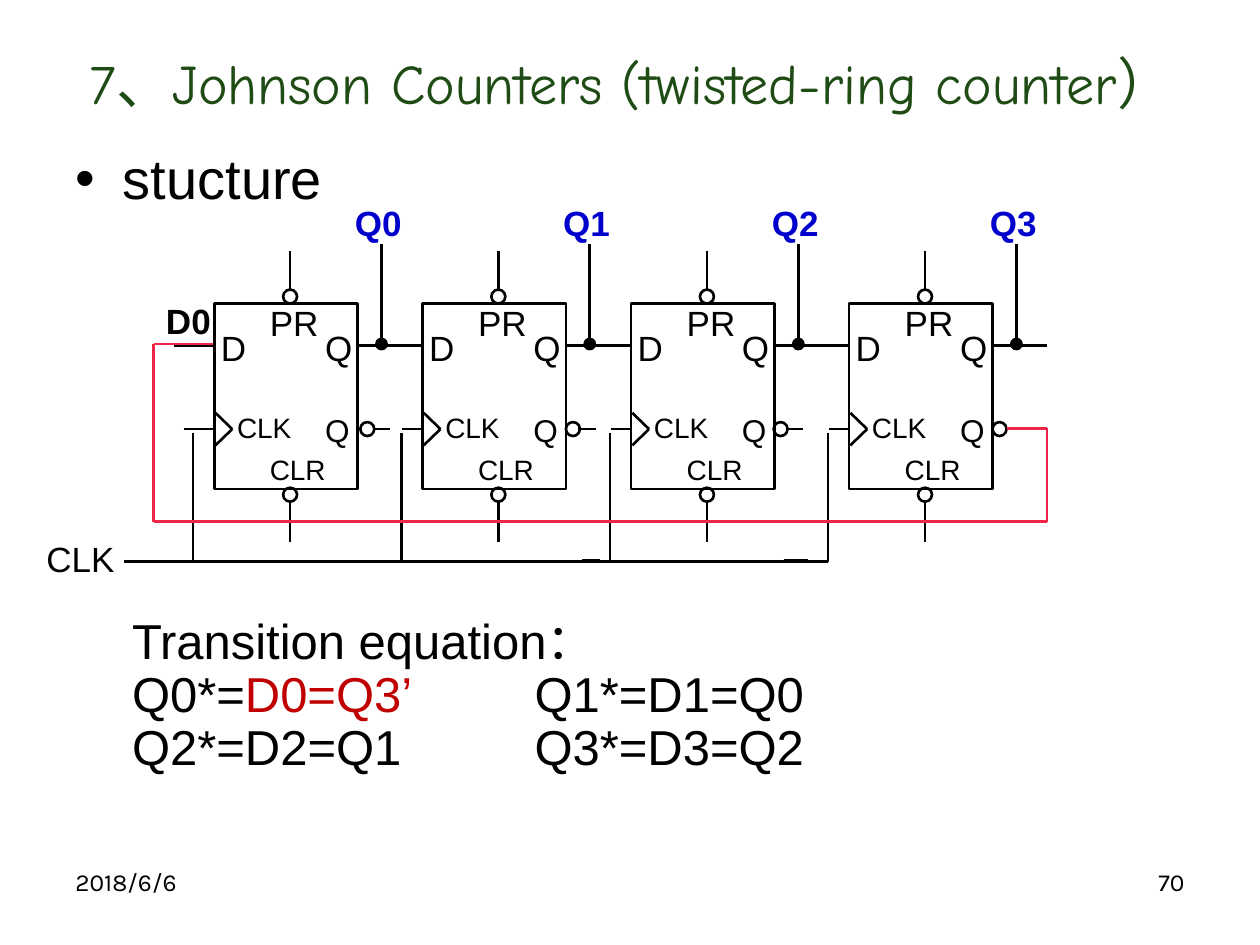
from itertools import pairwise

from lxml.etree import SubElement
from pptx import Presentation
from pptx.dml.color import RGBColor
from pptx.enum.shapes import MSO_CONNECTOR as Wire, MSO_SHAPE as Shape
from pptx.enum.text import MSO_ANCHOR as Anchor, MSO_AUTO_SIZE as Fit, PP_ALIGN as Align
from pptx.oxml.ns import qn
from pptx.util import Pt

# Content
TITLE = "7、Johnson Counters (twisted-ring counter）"
BULLET = "stucture"
DATE, NUMBER = "2018/6/6", "70"
EQUATIONS = [
    [("Transition equation：", "black")],
    [("Q0*=", "black"), ("D0=Q3’", "red"), ("\tQ1*=D1=Q0", "black")],
    [("Q2*=D2=Q1", "black"), ("\tQ3*=D3=Q2", "black")],
]
# Output name, left edge, clock stub length, offset of the inverted-output bubble
STAGES = [
    ("Q0", 122.4, 17.3, 83.5),
    ("Q1", 241.4, 11.5, 82),
    ("Q2", 360.6, 11.5, 81.5),
    ("Q3", 485.2, 11.5, 82),
]
# Pin labels of one flip-flop: text, offset from left edge, top, width, size
PINS = [
    ("D", -3.3, 182.9, 23, "label"),
    ("CLK", 6, 231.1, 48.2, "small"),
    ("Q", 56.3, 182.9, 23, "label"),
    ("Q", 56.3, 231.1, 23, "inverted"),
    ("CLR", 24.7, 254.9, 48.2, "small"),
    ("PR", 24.7, 168.5, 43.2, "label"),
]

THEME = {
    "colours": {"black": "000000", "green": "1F4B15", "blue": "0000CC",
                "red": "C00000", "feedback": "EF2547"},
    "sizes": {"title": 32, "bullet": 32, "equation": 28, "label": 20,
              "inverted": 18, "small": 16, "footer": 14},
    "fonts": {"body": "Arial", "title": "Comic Neue", "footer": "Karla"},
    "line": 1.5,
}

# Levels and flip-flop measures
TOP, WIDTH, HEIGHT = 173.5, 82, 106
DATA_Y, CLOCK_Y, BUS_Y = 197.3, 245.2, 321
TAP_TOP, PRESET_TOP, CLEAR_END = 139.7, 143.3, 309.6
BUBBLE, DOT, MIDDLE, TAP = 8, 5.8, 43.4, 95.6
BUS_LEFT, CLOCK_TAP = 70.6, 12
FEEDBACK = [(575.4, 244.8), (598.3, 244.8), (598.3, 298.1),
            (87.8, 298.1), (87.8, 196.6), (121.7, 196.6)]
BUS_STUBS = [(332.6, 342.7), (447.8, 461.5)]

deck = Presentation()
deck.slide_width, deck.slide_height = Pt(720), Pt(540)
page = deck.slides.add_slide(deck.slide_layouts[1])


def colour(name):
    return RGBColor.from_string(THEME["colours"][name])


def add_span(para, text, size, tint="black", font="body", bold=False):
    span = para.add_run()
    span.text = text
    look = {"size": Pt(THEME["sizes"][size]), "name": THEME["fonts"][font], "bold": bold}
    for key, value in look.items():
        setattr(span.font, key, value)
    span.font.color.rgb = colour(tint)


def place(box, left, top, width, height):
    frame = {"left": left, "top": top, "width": width, "height": height}
    for key, value in frame.items():
        setattr(box, key, Pt(value))
    box.text_frame.word_wrap = True
    box.text_frame.auto_size = Fit.NONE
    return box.text_frame


def add_label(text, left, top, width, height=31, size="label", align=Align.LEFT, **look):
    box = page.shapes.add_textbox(0, 0, 0, 0)
    para = place(box, left, top, width, height).paragraphs[0]
    para.alignment = align
    add_span(para, text, size, **look)


def add_wire(x1, y1, x2, y2, tint="black"):
    wire = page.shapes.add_connector(Wire.STRAIGHT, Pt(x1), Pt(y1), Pt(x2), Pt(y2))
    wire.line.width = Pt(THEME["line"])
    wire.line.color.rgb = colour(tint)
    SubElement(wire._element.spPr, qn("a:effectLst"))


def add_outline(kind, left, top, width, height, filled=False):
    shape = page.shapes.add_shape(kind, Pt(left), Pt(top), Pt(width), Pt(height))
    shape.shadow.inherit = False
    shape.line.width = Pt(THEME["line"])
    shape.line.color.rgb = colour("black")
    if filled:
        shape.fill.solid()
        shape.fill.fore_color.rgb = colour("black")
    else:
        shape.fill.background()


def add_stage(name, x, stub, bubble):
    right, middle, bottom = x + WIDTH, x + MIDDLE, TOP + HEIGHT
    add_outline(Shape.RECTANGLE, x, TOP, WIDTH, HEIGHT)
    for text, offset, top, width, size in PINS:
        add_label(text, x + offset, top, width, size=size)

    # Data input, output and clock input
    add_wire(x - 23, DATA_Y, x, DATA_Y)
    add_wire(right, DATA_Y, x + 113, DATA_Y)
    add_wire(x - stub, CLOCK_Y, x, CLOCK_Y)
    add_wire(x + 0.7, CLOCK_Y - 9.3, x + 10.3, CLOCK_Y)
    add_wire(x + 10.3, CLOCK_Y, x + 0.7, CLOCK_Y + 9.3)

    # Preset, clear and inverted output
    for top in (TOP - BUBBLE, bottom - 0.8):
        add_outline(Shape.OVAL, middle - BUBBLE / 2, top, BUBBLE, BUBBLE)
    add_wire(middle, PRESET_TOP, middle, TOP - BUBBLE)
    add_wire(middle, bottom - 0.8 + BUBBLE, middle, CLEAR_END)
    add_outline(Shape.OVAL, x + bubble, CLOCK_Y - BUBBLE / 2, BUBBLE, BUBBLE)
    if name != STAGES[-1][0]:
        add_wire(x + bubble + BUBBLE - 1, CLOCK_Y, x + bubble + BUBBLE + 9, CLOCK_Y)

    # Output tap and clock feed
    add_wire(x + TAP, DATA_Y, x + TAP, TAP_TOP)
    add_outline(Shape.OVAL, x + TAP - DOT / 2, DATA_Y - DOT / 2 - 0.7, DOT, DOT, filled=True)
    add_label(name, x + 73.4, 111.6, 45.4, tint="blue", bold=True)
    add_wire(x - CLOCK_TAP, 247.7, x - CLOCK_TAP, BUS_Y)


# Title and bullet
title = place(page.shapes.title, 23, 15.1, 676, 64.1)
title.vertical_anchor = Anchor.MIDDLE
title.paragraphs[0].alignment = Align.CENTER
add_span(title.paragraphs[0], TITLE, "title", "green", "title")

body = place(page.placeholders[1], 36, 82.8, 648, 72)
body.paragraphs[0].line_spacing = 0.9
body.paragraphs[0].space_before = Pt(0)
add_span(body.paragraphs[0], BULLET, "bullet")

# Counter circuit
for stage in STAGES:
    add_stage(*stage)
for start, end in pairwise(FEEDBACK):
    add_wire(*start, *end, "feedback")
add_wire(STAGES[-1][1] - CLOCK_TAP, BUS_Y, BUS_LEFT, BUS_Y)
for left, right in BUS_STUBS:
    add_wire(left, BUS_Y - 0.6, right, BUS_Y - 0.6)
add_label("D0", 87.8, 167.8, 45.4, bold=True)
add_label("CLK", 19.4, 303.8, 62.6)

# Transition equations, with the second column on a tab stop
equations = place(page.shapes.add_textbox(0, 0, 0, 0), 68.4, 349.2, 535, 98.6)
for index, spans in enumerate(EQUATIONS):
    para = equations.add_paragraph() if index else equations.paragraphs[0]
    tabs = SubElement(para._p.get_or_add_pPr(), qn("a:tabLst"))
    SubElement(tabs, qn("a:tab"), pos=str(Pt(230)), algn="l")
    para.line_spacing = 0.9
    for text, tint in spans:
        add_span(para, text, "equation", tint)

# Footer
add_label(DATE, 36, 491.8, 168, 37.4, "footer", font="footer")
add_label(NUMBER, 516, 491.8, 168, 37.4, "footer", Align.RIGHT, font="footer")

deck.save("out.pptx")
